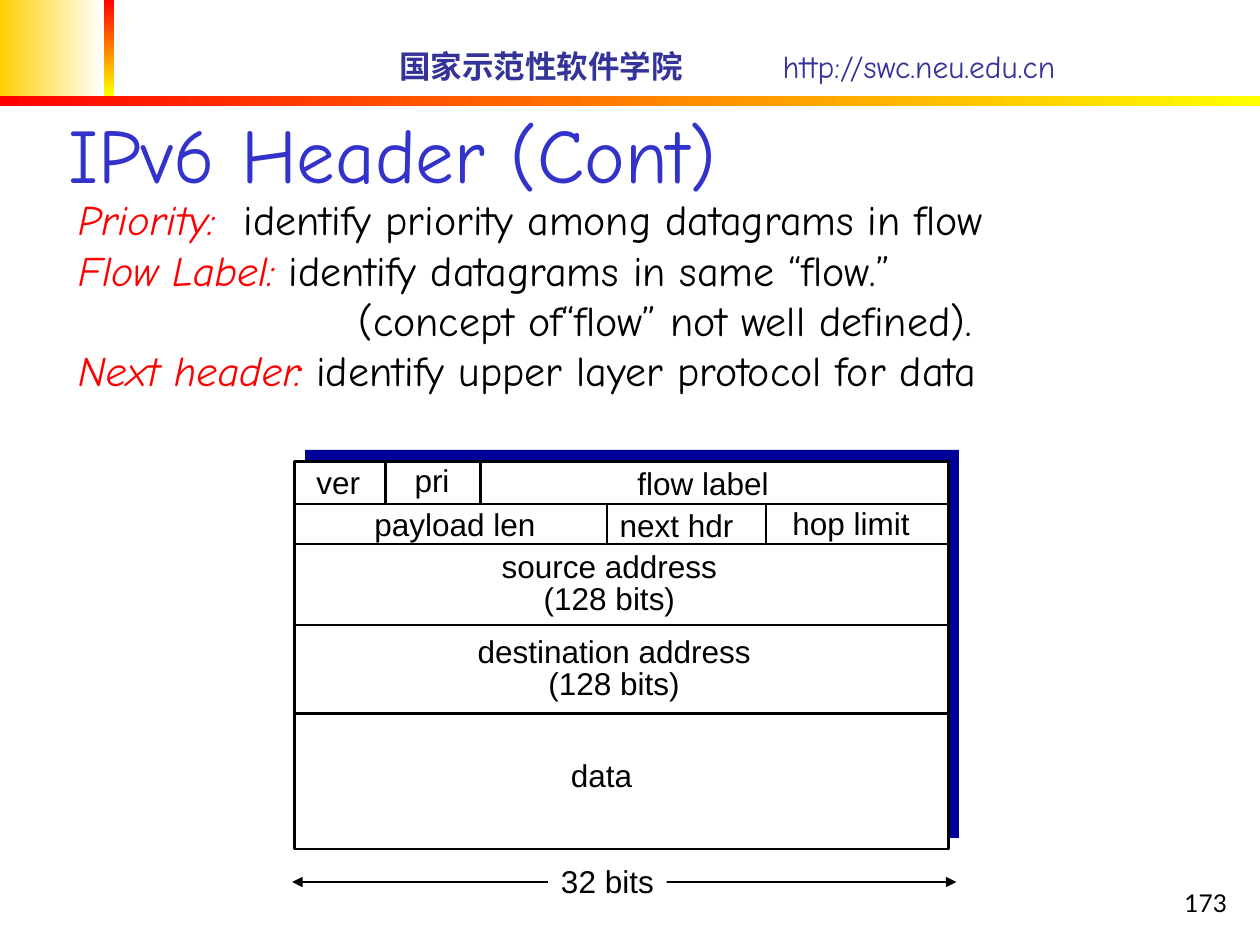
from dataclasses import dataclass

from lxml import etree
from pptx import Presentation, util as u
from pptx.dml.color import RGBColor
from pptx.enum import shapes, text
from pptx.oxml.ns import qn


@dataclass(frozen=True)
class Theme:
    title_blue: str = "3333CC"
    school_blue: str = "333399"
    shade_blue: str = "000099"
    gold: str = "FFCF01"
    red: str = "FF0000"
    yellow: str = "FFFF00"
    black: str = "000000"
    white: str = "FFFFFF"
    hand: str = "Comic Neue"
    sans: str = "Arial"
    number: str = "Lato"
    title_size: int = 44
    body_size: int = 24
    label_size: int = 18
    number_size: int = 14
    rule: float = 1.5
    arrow: float = 0.75


THEME = Theme()
LEFT, CENTER, RIGHT = text.PP_ALIGN.LEFT, text.PP_ALIGN.CENTER, text.PP_ALIGN.RIGHT
TOP, MIDDLE, BOTTOM = (text.MSO_ANCHOR.TOP, text.MSO_ANCHOR.MIDDLE,
                       text.MSO_ANCHOR.BOTTOM)


def add_span(para, words, *, size, font, color, bold=False, italic=False):
    span = para.add_run()
    span.text = words
    span.font.size = u.Pt(size)
    span.font.name = font
    span.font.bold = bold
    span.font.italic = italic
    span.font.color.rgb = RGBColor.from_string(color)


def set_tab(para, position):
    tabs = etree.SubElement(para._p.get_or_add_pPr(), qn("a:tabLst"))
    etree.SubElement(tabs, qn("a:tab"), pos=str(u.Cm(position)), algn="l")


def set_indent(para, position):
    properties = para._p.get_or_add_pPr()
    properties.set("marL", str(u.Cm(position)))
    properties.set("indent", "0")


class SlideBuilder:
    """Holds the theme and the current slide; all lengths are centimetres."""

    def __init__(self, slide, theme):
        self.slide = slide
        self.theme = theme

    def title(self, words, left, top, width, height):
        box = self.slide.shapes.title
        box.left, box.top, box.width, box.height = map(
            u.Cm, (left, top, width, height))
        frame = box.text_frame
        frame.auto_size = text.MSO_AUTO_SIZE.NONE
        frame.vertical_anchor = BOTTOM
        frame.paragraphs[0].alignment = LEFT
        add_span(frame.paragraphs[0], words, size=self.theme.title_size,
                 font=self.theme.hand, color=self.theme.title_blue)

    def text_box(self, left, top, width, height, anchor=TOP):
        box = self.slide.shapes.add_textbox(*map(u.Cm, (left, top, width, height)))
        box.text_frame.word_wrap = True
        box.text_frame.vertical_anchor = anchor
        return box.text_frame

    def label(self, lines, left, top, width, height=1.02, spacing=None):
        frame = self.text_box(left, top, width, height)
        frame.word_wrap = False
        for index, words in enumerate(lines):
            para = frame.add_paragraph() if index else frame.paragraphs[0]
            para.alignment = CENTER
            para.line_spacing = spacing
            add_span(para, words, size=self.theme.label_size,
                     font=self.theme.sans, color=self.theme.black)

    def rectangle(self, left, top, width, height, fill, line=None):
        box = self.slide.shapes.add_shape(
            shapes.MSO_SHAPE.RECTANGLE, *map(u.Cm, (left, top, width, height)))
        box.shadow.inherit = False
        box.fill.solid()
        box.fill.fore_color.rgb = RGBColor.from_string(fill)
        if line:
            box.line.color.rgb = RGBColor.from_string(line)
            box.line.width = u.Pt(self.theme.rule)
        else:
            box.line.fill.background()
        return box

    def gradient_bar(self, left, top, width, height, start, end, angle=0):
        fill = self.rectangle(left, top, width, height, start).fill
        fill.gradient()
        fill.gradient_angle = angle
        for stop, color in zip(fill.gradient_stops, (start, end)):
            stop.color.rgb = RGBColor.from_string(color)

    def line(self, x1, y1, x2, y2, weight, arrows=False):
        rule = self.slide.shapes.add_connector(
            shapes.MSO_CONNECTOR.STRAIGHT, *map(u.Cm, (x1, y1, x2, y2)))
        rule.line.color.rgb = RGBColor.from_string(self.theme.black)
        rule.line.width = u.Pt(weight)
        if arrows:
            for end in ("a:headEnd", "a:tailEnd"):
                etree.SubElement(rule.line._get_or_add_ln(), qn(end), type="triangle")
        etree.SubElement(rule._element.spPr, qn("a:effectLst"))


def add_banner(page):
    theme = page.theme
    page.gradient_bar(0, 0, 2.1, 1.93, theme.gold, theme.white)
    page.gradient_bar(2.1, 0, 0.2, 1.93, theme.red, theme.yellow, angle=270)
    page.gradient_bar(0, 1.93, 25.4, 0.2, theme.red, theme.yellow)
    para = page.text_box(7.8, 0.81, 17.6, 1.02, MIDDLE).paragraphs[0]
    set_tab(para, 7.73)
    style = dict(size=theme.label_size, font=theme.hand, color=theme.school_blue)
    add_span(para, "国家示范性软件学院", bold=True, **style)
    add_span(para, "\thttp://swc.neu.edu.cn", **style)


def add_definitions(page):
    theme = page.theme
    frame = page.text_box(1.32, 3.78, 21.21, 4.32)
    definitions = [
        ("Priority:", "\tidentify priority among datagrams in flow"),
        ("Flow Label:", " identify datagrams in same “flow.”"),
        ("", "(concept of“flow” not well defined)."),
        ("Next header:", " identify upper layer protocol for data"),
    ]
    style = dict(size=theme.body_size, font=theme.hand)
    for index, (term, meaning) in enumerate(definitions):
        para = frame.add_paragraph() if index else frame.paragraphs[0]
        if term:
            add_span(para, term, color=theme.red, italic=True, **style)
        else:
            set_indent(para, 5.66)
        if meaning.startswith("\t"):
            set_tab(para, 3.34)
        add_span(para, meaning, color=theme.black, **style)


def add_header_diagram(page):
    theme = page.theme
    left, top, width, height = 5.94, 9.3, 13.18, 7.82
    row_lines = [10.16, 10.97, 12.6, 14.38]
    page.rectangle(left + 0.21, top - 0.23, width, height, theme.shade_blue)
    page.rectangle(left, top, width, height, theme.white, theme.black)
    for y in row_lines:
        page.line(left, y, left + width, y, theme.rule)
    for x, start, end in [(7.77, top, row_lines[0]), (9.68, top, row_lines[0]),
                          (12.24, *row_lines[:2]), (15.44, *row_lines[:2])]:
        page.line(x, start, x, end, theme.rule)

    for words, x, y, box_width in [
        ("ver", 6.12, 9.2, 1.4), ("pri", 8.1, 9.17, 1.22),
        ("flow label", 12.6, 9.22, 3.15), ("payload len", 7.29, 10.06, 3.76),
        ("next hdr", 12.24, 10.08, 2.8), ("hop limit", 15.72, 10.03, 2.87),
        ("data", 11.25, 15.11, 1.75),
    ]:
        page.label([words], x, y, box_width)
    for words, x, y, box_width in [("source address", 9.86, 11.02, 4.85),
                                   ("destination address", 9.37, 12.73, 6.02)]:
        page.label([words, "(128 bits)"], x, y, box_width, 1.55, spacing=0.85)

    page.line(5.89, 17.78, 19.28, 17.78, theme.arrow, arrows=True)
    page.rectangle(11.05, 17.25, 2.39, 1.02, theme.white)
    page.label(["32 bits"], 11.05, 17.25, 2.39)


def main():
    deck = Presentation()
    deck.slide_width, deck.slide_height = u.Cm(25.4), u.Cm(19.05)
    page = SlideBuilder(deck.slides.add_slide(deck.slide_layouts[5]), THEME)
    add_banner(page)
    page.title("IPv6 Header (Cont)", 1.12, 2.13, 21.64, 2.01)
    add_definitions(page)
    add_header_diagram(page)
    number = page.text_box(19.71, 17.35, 5.28, 1.27, BOTTOM).paragraphs[0]
    number.alignment = RIGHT
    add_span(number, "173", size=THEME.number_size, font=THEME.number,
             color=THEME.black)
    deck.save("out.pptx")


if __name__ == "__main__":
    main()
